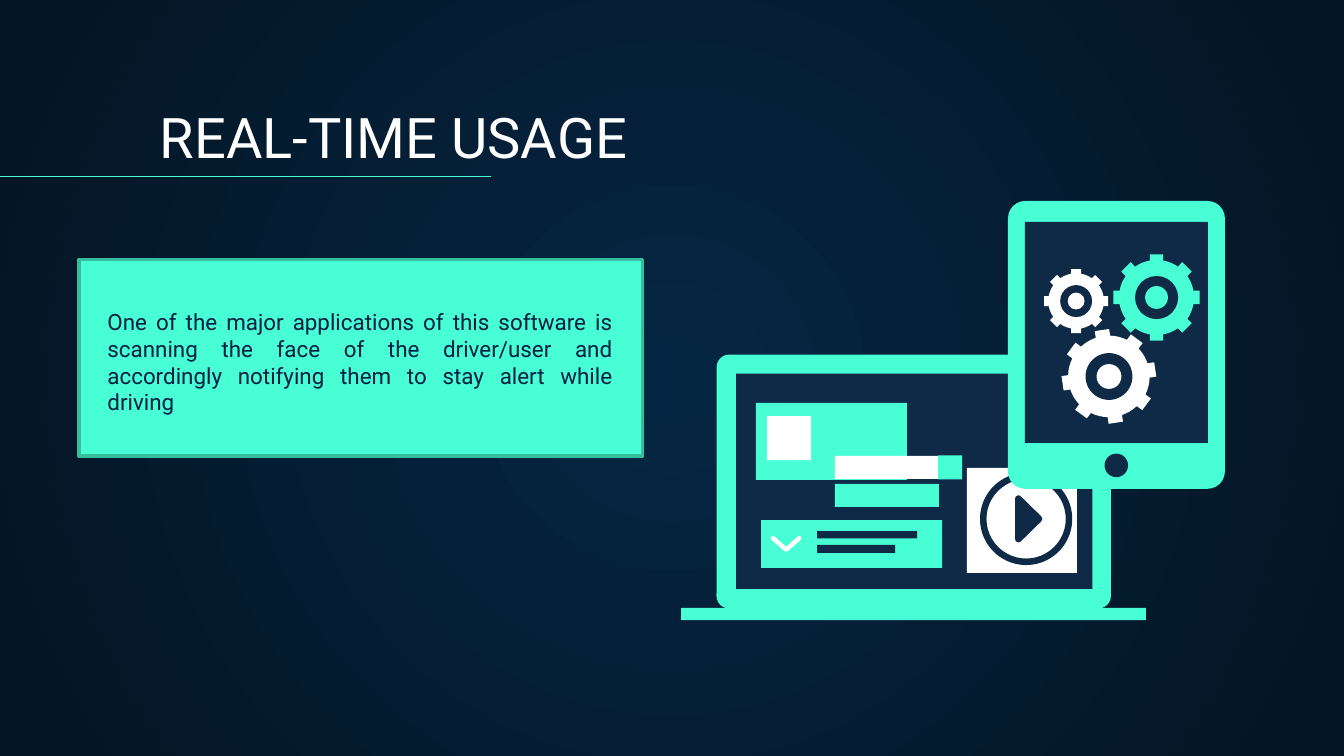
from math import asin, cos, pi, radians, sin, sqrt

from pptx import Presentation
from pptx.dml.color import RGBColor
from pptx.enum.shapes import MSO_CONNECTOR, MSO_SHAPE as KIND
from pptx.enum.text import MSO_ANCHOR, MSO_AUTO_SIZE, PP_ALIGN
from pptx.oxml import parse_xml
from pptx.util import Pt

NS = 'xmlns:a="http://schemas.openxmlformats.org/drawingml/2006/main"'
MINT, NAVY, WHITE = "48FFD5", "0E2A47", "FFFFFF"


def paint(part, fill=None, line=None, width=0.75):
    """Set fill and line colours from hex strings and drop the shadow."""
    part.shadow.inherit = False
    for form, color in ((part.fill, fill), (part.line.fill, line)):
        if color:
            form.solid()
            form.fore_color.rgb = RGBColor.from_string(color)
        else:
            form.background()
    if line:
        part.line.width = Pt(width)
    return part


def outline(points, closed=True):
    """Add a freeform through points given in points."""
    corners = [(Pt(x), Pt(y)) for x, y in points]
    builder = slide.shapes.build_freeform(*corners[0], scale=1)
    builder.add_line_segments(corners[1:], close=closed)
    return builder.convert_to_shape()


deck = Presentation()
deck.slide_width, deck.slide_height = Pt(720), Pt(405)
slide = deck.slides.add_slide(deck.slide_layouts[5])

# Radial background
backdrop = slide.background.fill
backdrop.gradient()
for stop, (position, color) in zip(backdrop.gradient_stops, ((0, "052643"), (1, "041523"))):
    stop.position = position
    stop.color.rgb = RGBColor.from_string(color)
gradient = slide.element.xpath(".//p:bg//a:gradFill")[0]
for linear in gradient.xpath("a:lin"):
    gradient.remove(linear)
gradient.append(parse_xml(
    f'<a:path {NS} path="circle"><a:fillToRect l="50000" t="50000" r="50000" b="50000"/></a:path>'))

# Heading and its rule
heading = slide.shapes.title
heading.left, heading.top, heading.width, heading.height = Pt(78.5), Pt(50.4), Pt(617), Pt(47.5)
heading.text_frame.text = "REAL-TIME USAGE"
rule = slide.shapes.add_connector(MSO_CONNECTOR.STRAIGHT, Pt(0), Pt(94.4), Pt(263), Pt(94.4))
rule.line.color.rgb = RGBColor.from_string(MINT)
rule.line.width = Pt(0.75)
rule._element.spPr.append(parse_xml(f"<a:effectLst {NS}/>"))

# Laptop, its windows, and the tablet: kind, left, top, width, height, fill, adjustment
RECT, ROUND, OVAL = KIND.RECTANGLE, KIND.ROUNDED_RECTANGLE, KIND.OVAL
laptop = [
    (ROUND, 383.9, 190, 211.3, 136, MINT, 0.05),
    (RECT, 394.3, 200.2, 190.9, 115.3, NAVY, None),
    (RECT, 364.9, 325.7, 249, 6.6, MINT, None),
    (RECT, 405, 215.9, 80.9, 41.2, MINT, None),
    (RECT, 410.9, 222.9, 23.6, 23.6, WHITE, None),
    (RECT, 407.7, 278.6, 97, 25.7, MINT, None),
    (RECT, 437.7, 284.5, 53.6, 4, NAVY, None),
    (RECT, 437.7, 292, 41.8, 4.2, NAVY, None),
    (RECT, 447.3, 259.3, 55.7, 12.3, MINT, None),
    (RECT, 447.3, 244.3, 55.3, 12.3, WHITE, None),
    (RECT, 502.6, 244, 12.8, 12.8, MINT, None),
    (RECT, 518, 250.7, 59, 56.3, WHITE, None),
    (KIND.DONUT, 525, 253.3, 49.4, 49.4, NAVY, 0.07),
]
tablet = [
    (ROUND, 540, 107.7, 116.2, 154.2, MINT, 0.08),
    (RECT, 549.1, 118.9, 98, 118.4, NAVY, None),
    (OVAL, 591.7, 243, 12.6, 12.6, NAVY, None),
]
for kind, left, top, width, height, color, adjustment in laptop + tablet:
    if (kind, left) == tablet[0][:2]:
        # Play arrow and chevron lie beneath the tablet
        play = outline([(545.6, 267.2), (556.6, 278), (545.6, 288.8)])
        paint(play, NAVY, NAVY, 3.6)
        chevron = outline([(414.2, 288.3), (421.2, 294.5), (428.2, 288.3)], closed=False)
        paint(chevron, None, WHITE, 2.4)
        for mark in (play, chevron):
            stroke = mark.line._get_or_add_ln()
            stroke.set("cap", "rnd")
            stroke.append(parse_xml(f"<a:round {NS}/>"))
    part = slide.shapes.add_shape(kind, Pt(left), Pt(top), Pt(width), Pt(height))
    paint(part, color)
    if adjustment:
        part.adjustments[0] = adjustment

# Gears with eight teeth: centre, outer radius, turn in degrees, colour
for center_x, center_y, radius, turn, color in (
    (619.6, 159.4, 23.1, 0, MINT),
    (576.5, 161.3, 17.1, 0, WHITE),
    (594.1, 201.7, 25.1, -8.5, WHITE),
):
    body, half_tooth = 0.87 * radius, 0.155 * radius
    root = sqrt(body ** 2 - half_tooth ** 2)
    root_angle = asin(half_tooth / body)
    gap = pi / 4 - 2 * root_angle
    profile = [(root, -half_tooth), (radius, -half_tooth), (radius, half_tooth), (root, half_tooth)]
    for step in (0.25, 0.5, 0.75):
        angle = root_angle + gap * step
        profile.append((body * cos(angle), body * sin(angle)))
    rim = []
    for tooth in range(8):
        angle = radians(turn) + tooth * pi / 4
        rim += [(center_x + x * cos(angle) - y * sin(angle),
                 center_y + x * sin(angle) + y * cos(angle)) for x, y in profile]
    paint(outline(rim), color)
    for share, disc_color in ((0.5, NAVY), (0.265, color)):
        reach = share * radius
        disc = slide.shapes.add_shape(OVAL, Pt(center_x - reach), Pt(center_y - reach),
                                      Pt(2 * reach), Pt(2 * reach))
        paint(disc, disc_color)

# Message panel
panel = slide.shapes.add_shape(RECT, Pt(42.4), Pt(139), Pt(301.8), Pt(105.4))
paint(panel, MINT, "35BD9E", 2)
message = slide.shapes.add_textbox(Pt(50.5), Pt(161.4), Pt(285), Pt(65.4))
message.text_frame.text = (
    "One of the major applications of this software is scanning the face of the "
    "driver/user and accordingly notifying them to stay alert while driving")

for holder, size, color, align, anchor, inset in (
    (heading, 30, WHITE, PP_ALIGN.LEFT, MSO_ANCHOR.BOTTOM, 7.2),
    (message, 12, "021E40", PP_ALIGN.JUSTIFY, MSO_ANCHOR.TOP, 3.6),
):
    frame = holder.text_frame
    frame_format = {"word_wrap": True, "auto_size": MSO_AUTO_SIZE.NONE, "vertical_anchor": anchor,
                    "margin_left": Pt(7.2), "margin_right": Pt(7.2),
                    "margin_top": Pt(inset), "margin_bottom": Pt(inset)}
    for attribute, value in frame_format.items():
        setattr(frame, attribute, value)
    paragraph = frame.paragraphs[0]
    paragraph.alignment = align
    font = paragraph.runs[0].font
    for attribute, value in {"name": "Roboto", "size": Pt(size), "bold": False}.items():
        setattr(font, attribute, value)
    font.color.rgb = RGBColor.from_string(color)

deck.save("out.pptx")
